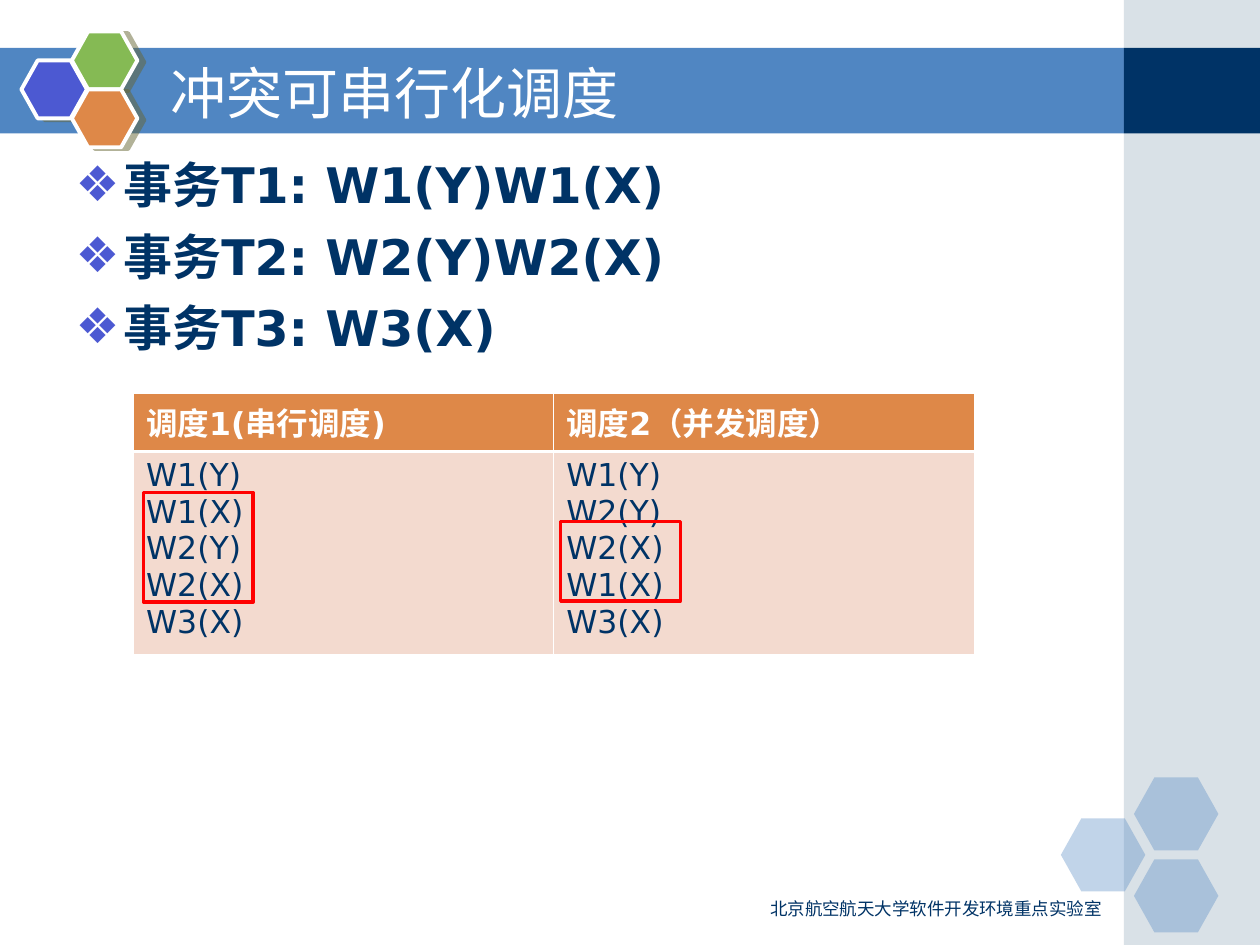
from lxml import etree
from pptx import Presentation
from pptx.dml.color import RGBColor
from pptx.enum.shapes import MSO_SHAPE
from pptx.enum.text import MSO_ANCHOR, MSO_AUTO_SIZE, PP_ALIGN
from pptx.oxml.ns import qn
from pptx.util import Inches, Pt

RECT, HEXAGON = MSO_SHAPE.RECTANGLE, MSO_SHAPE.HEXAGON
LEFT, RIGHT = PP_ALIGN.LEFT, PP_ALIGN.RIGHT
TOP, MIDDLE = MSO_ANCHOR.TOP, MSO_ANCHOR.MIDDLE
NO_FIT = MSO_AUTO_SIZE.NONE
FONT = "DejaVu Sans"
COLORS = {
    "white": "FFFFFF", "navy": "003366", "blue": "5086C2", "gray": "A0B5C4",
    "violet": "4C59D2", "green": "85BA54", "orange": "DE8848",
    "peach": "F3DACF", "red": "FF0000", "olive": "666633",
}


def rgb(name):
    """Return the named colour."""
    return RGBColor.from_string(COLORS[name])


def add_node(parent, tag, **attrs):
    """Append an XML child with the given attributes."""
    return etree.SubElement(parent, qn(tag), {k: str(v) for k, v in attrs.items()})


def add_color(parent, name, alpha=None):
    """Append an RGB colour element, with opacity in percent."""
    node = add_node(parent, "a:srgbClr", val=COLORS[name])
    if alpha is not None:
        add_node(node, "a:alpha", val=alpha * 1000)


def place(sp, box):
    """Move a shape to a box given in inches."""
    sp.left, sp.top, sp.width, sp.height = [Inches(v) for v in box]


def add_text(tf, lines, size=18, color="navy", bold=False, align=LEFT,
             anchor=TOP, bullet=None, gap=0):
    """Write one formatted paragraph per line."""
    tf.word_wrap = True
    tf.auto_size = NO_FIT
    tf.vertical_anchor = anchor
    for i, line in enumerate(lines):
        p = tf.paragraphs[0] if i == 0 else tf.add_paragraph()
        p.alignment = align
        p.space_before = Pt(gap if i else 0)
        if bullet:
            pPr = p._p.get_or_add_pPr()
            pPr.set("marL", str(Inches(0.38)))
            pPr.set("indent", str(-Inches(0.38)))
            add_color(add_node(pPr, "a:buClr"), "violet")
            add_node(pPr, "a:buChar", char=bullet)
        r = p.add_run()
        r.text = line
        r.font.name, r.font.size, r.font.bold = FONT, Pt(size), bold
        r.font.color.rgb = rgb(color)


def add_figure(s, kind, box, fill=None, alpha=None, line=None, width=2):
    """Add a preset shape with plain fill and outline."""
    sp = s.shapes.add_shape(kind, *[Inches(v) for v in box])
    sp.shadow.inherit = False
    if fill:
        sp.fill.solid()
        sp.fill.fore_color.rgb = rgb(fill)
        if alpha is not None:
            clr = sp._element.spPr.find(qn("a:solidFill"))[0]
            add_node(clr, "a:alpha", val=alpha * 1000)
    else:
        sp.fill.background()
    if line:
        sp.line.color.rgb = rgb(line)
        sp.line.width = Pt(width)
    else:
        sp.line.fill.background()
    if kind == HEXAGON:
        sp.adjustments[0] = 0.28
    return sp


def add_backdrop(s, left, top, height):
    """Draw the title band and the side panel."""
    add_figure(s, RECT, (0, top, left, height), "blue")
    add_figure(s, RECT, (left, 0, 10 - left, 7.5), "gray", alpha=40)
    add_figure(s, RECT, (left, top, 10 - left, height), "navy")


def add_cluster(s, left, top, width, height, step, fills, alpha=None, emblem=False):
    """Draw three hexagons, one on the left and two stacked on the right."""
    dx, dy = step
    spots = [(0, dy / 2), (dx, 0), (dx, dy)]
    for (x, y), fill in zip(spots, fills):
        sp = add_figure(s, HEXAGON, (left + x, top + y, width, height), fill, alpha,
                        "white" if emblem else None, 2.25)
        if emblem:
            effects = sp._element.spPr.find(qn("a:effectLst"))
            shadow = add_node(effects, "a:outerShdw", blurRad=0, dist=Pt(4.1),
                              dir=14 * 60000, algn="ctr", rotWithShape=0)
            add_color(shadow, "olive", 50)


def set_borders(cell, top, bottom):
    """Give a cell white borders, with its own top and bottom widths."""
    tcPr = cell._tc.get_or_add_tcPr()
    widths = {"a:lnL": 0.45, "a:lnR": 0.45, "a:lnT": top, "a:lnB": bottom}
    for i, (tag, width) in enumerate(widths.items()):
        ln = add_node(tcPr, tag, w=Pt(width))
        add_color(add_node(ln, "a:solidFill"), "white")
        tcPr.insert(i, ln)


def add_schedules(s, box, schedules):
    """Build the table, one column per schedule."""
    left, top, width, height = [Inches(v) for v in box]
    table = s.shapes.add_table(2, len(schedules), left, top, width, height).table
    table.horz_banding = False
    table.rows[0].height = Inches(0.45)
    table.rows[1].height = height - Inches(0.45)
    for col, (heading, steps) in enumerate(schedules.items()):
        head, body = table.cell(0, col), table.cell(1, col)
        add_text(head.text_frame, [heading], color="white", bold=True)
        add_text(body.text_frame, steps)
        for cell, fill, edges in ((head, "orange", (0.45, 1.47)),
                                  (body, "peach", (1.47, 0.45))):
            cell.fill.solid()
            cell.fill.fore_color.rgb = rgb(fill)
            set_borders(cell, *edges)


def add_footer(s, box, text):
    """Add the right-aligned footer."""
    sp = s.shapes.add_textbox(*[Inches(v) for v in box])
    add_text(sp.text_frame, [text], size=10, align=RIGHT)


def main():
    """Build and save the slide."""
    prs = Presentation()
    prs.slide_width, prs.slide_height = Inches(10), Inches(7.5)
    s = prs.slides.add_slide(prs.slide_layouts[1])
    add_backdrop(s, 8.92, 0.38, 0.68)
    add_cluster(s, 8.42, 6.17, 0.67, 0.58, (0.58, 0.65), ["blue"] * 3, alpha=35)
    add_cluster(s, 0.17, 0.25, 0.52, 0.46, (0.4, 0.46),
                ["violet", "green", "orange"], emblem=True)

    title, body = s.shapes.title, s.placeholders[1]
    for sp in (title, body):
        s.shapes._spTree.append(sp._element)
    place(title, (1.25, 0.42, 7.33, 0.62))
    add_text(title.text_frame, ["冲突可串行化调度"], size=32, color="white", anchor=MIDDLE)
    place(body, (0.5, 1.18, 9, 5.74))
    add_text(body.text_frame,
             ["事务T1: W1(Y)W1(X)", "事务T2: W2(Y)W2(X)", "事务T3: W3(X)"],
             size=28, bold=True, bullet="❖", gap=7)

    add_footer(s, (5.67, 7.08, 3.17, 0.26), "北京航空航天大学软件开发环境重点实验室")
    add_schedules(s, (1.06, 3.12, 6.67, 2.06), {
        "调度1(串行调度)": ["W1(Y)", "W1(X)", "W2(Y)", "W2(X)", "W3(X)"],
        "调度2（并发调度）": ["W1(Y)", "W2(Y)", "W2(X)", "W1(X)", "W3(X)"],
    })
    for box in ((1.14, 3.91, 0.87, 0.87), (4.45, 4.14, 0.95, 0.63)):
        add_figure(s, RECT, box, line="red")
    prs.save("out.pptx")


if __name__ == "__main__":
    main()
